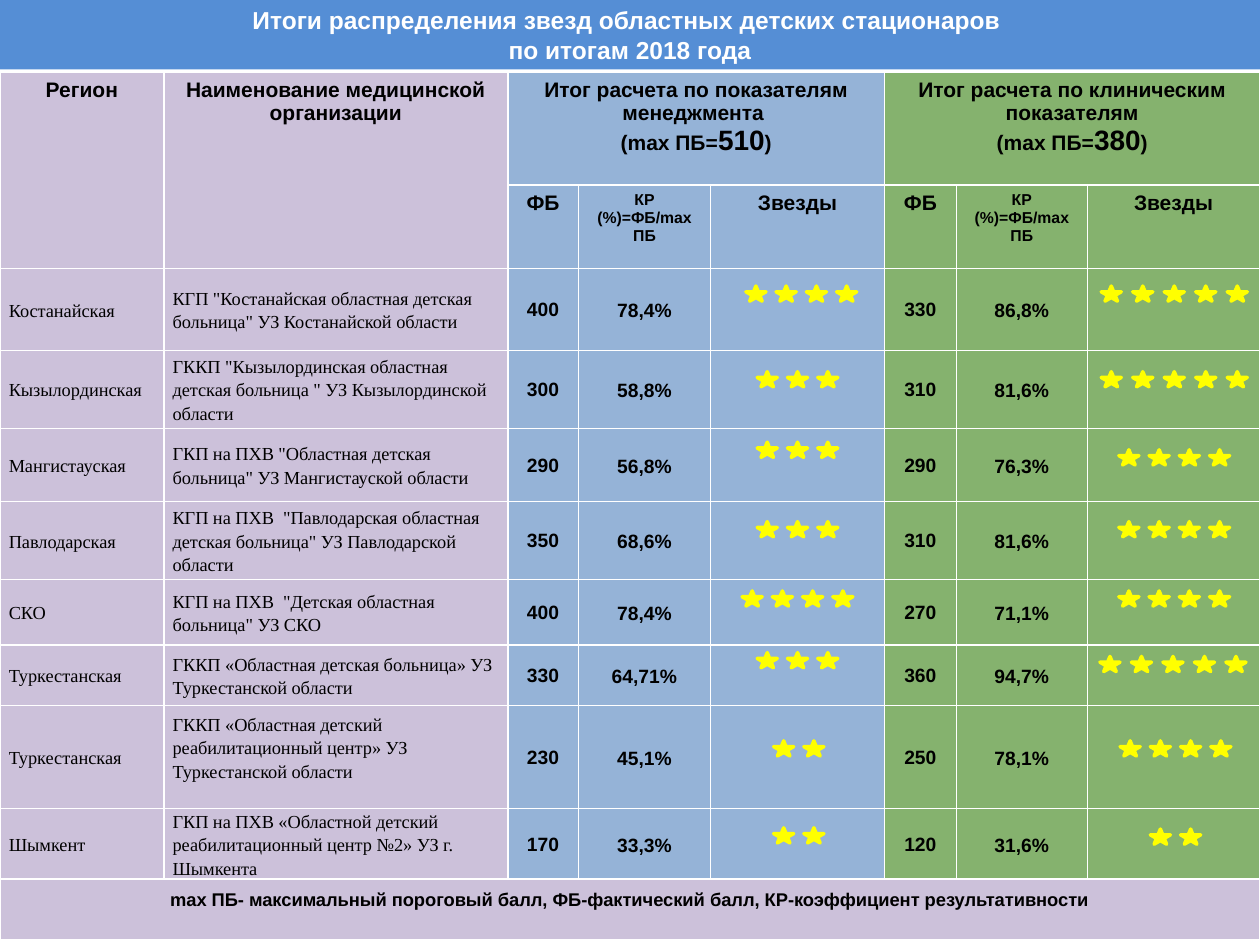
from itertools import product
from lxml.etree import SubElement
from pptx import Presentation
from pptx.dml.color import RGBColor
from pptx.enum.shapes import MSO_SHAPE
from pptx.enum.text import MSO_ANCHOR as ANCHOR, PP_ALIGN as ALIGN
from pptx.oxml.ns import qn
from pptx.util import Inches, Pt

TITLE = "Итоги распределения звезд областных детских стационаров \vпо итогам 2018 года"
FOOTER = "mах ПБ- максимальный пороговый балл, ФБ-фактический балл, КР-коэффициент результативности"
LABELS = ["Регион", "Наименование медицинской организации"]
SECTIONS = [
    ("Итог расчета по показателям менеджмента ", "510"),
    ("Итог расчета по клиническим показателям", "380"),
]
SUBHEADS = [("ФБ", 12), ("КР (%)=ФБ/max ПБ", 9), ("Звезды", 12)]
ROWS = [
    ("Костанайская", 'КГП "Костанайская областная детская больница" УЗ Костанайской области',
     ("400", "78,4%"), ("330", "86,8%")),
    ("Кызылординская", 'ГККП "Кызылординская областная детская больница " УЗ Кызылординской области',
     ("300", "58,8%"), ("310", "81,6%")),
    ("Мангистауская", 'ГКП на ПХВ "Областная детская больница" УЗ Мангистауской области',
     ("290", "56,8%"), ("290", "76,3%")),
    ("Павлодарская", 'КГП на ПХВ  "Павлодарская областная детская больница" УЗ Павлодарской области',
     ("350", "68,6%"), ("310", "81,6%")),
    ("СКО", 'КГП на ПХВ  "Детская областная больница" УЗ СКО',
     ("400", "78,4%"), ("270", "71,1%")),
    ("Туркестанская", "ГККП «Областная детская больница» УЗ Туркестанской области",
     ("330", "64,71%"), ("360", "94,7%")),
    ("Туркестанская", "ГККП «Областная детский реабилитационный центр» УЗ Туркестанской области",
     ("230", "45,1%"), ("250", "78,1%")),
    ("Шымкент", "ГКП на ПХВ «Областной детский реабилитационный центр №2» УЗ г. Шымкента",
     ("170", "33,3%"), ("120", "31,6%")),
]
STARS = [
    (4, 5.92, 2.27), (5, 8.74, 2.27),
    (3, 6.01, 2.95), (5, 8.74, 2.95),
    (3, 6.01, 3.51), (4, 8.88, 3.57),
    (3, 6.01, 4.14), (4, 8.88, 4.14),
    (4, 5.89, 4.69), (4, 8.88, 4.69),
    (3, 6.01, 5.18), (5, 8.73, 5.21),
    (2, 6.14, 5.88), (4, 8.89, 5.88),
    (2, 6.14, 6.57), (2, 9.13, 6.58),
]
COLS = [1.3, 2.73, 0.56, 1.05, 1.38, 0.57, 1.04, 1.37]
HEIGHTS = [0.9, 0.66, 0.65, 0.62, 0.58, 0.62, 0.52, 0.48, 0.82, 0.55, 0.48]
LILAC, BLUE, GREEN = "CCC1DA", "95B3D7", "85B26E"
COL_FILLS = [LILAC] * 2 + [BLUE] * 3 + [GREEN] * 3
STAR_W, STAR_H = 0.16, 0.12

HEAD = {"size": 12, "name": "Arial", "bold": True}
NAME = {"size": 10.5, "name": "Times New Roman", "bold": False}
VALUE = {"size": 11, "name": "Arial", "bold": True}
NOTE = {"size": 10.5, "name": "Arial", "bold": True}
WIDE = (0.07, 0, 0.07, 0)
TIGHT = (0.01, 0.01, 0.01, 0)


def rgb(value):
    return RGBColor.from_string(value)


def paint(fill, color):
    fill.solid()
    fill.fore_color.rgb = rgb(color)


def add_run(p, text, font, color="000000"):
    p.text = p.text
    r = p.add_run()
    r.text = text
    for key, value in font.items():
        setattr(r.font, key, Pt(value) if key == "size" else value)
    r.font.color.rgb = rgb(color)


def put(cell, text, font, align=ALIGN.CENTER, spacing=None, margins=None):
    p = cell.text_frame.paragraphs[0]
    p.alignment = align
    if spacing:
        p.line_spacing = spacing
    r = p.add_run()
    r.text = text
    style(r, font)
    if margins:
        cell.vertical_anchor = ANCHOR.MIDDLE
        for side, value in zip(("left", "top", "right", "bottom"), margins):
            setattr(cell, f"margin_{side}", Inches(value))


def style(r, font, color="000000"):
    for key, value in font.items():
        setattr(r.font, key, Pt(value) if key == "size" else value)
    r.font.color.rgb = rgb(color)


def format_cell(cell, color):
    tcPr = cell._tc.get_or_add_tcPr()
    for tag in ("a:lnL", "a:lnR", "a:lnT", "a:lnB"):
        ln = SubElement(tcPr, qn(tag), w=str(Pt(1)))
        SubElement(SubElement(ln, qn("a:solidFill")), qn("a:srgbClr"), val="FFFFFF")
    paint(cell.fill, color)


def add_title(s):
    sp = s.shapes.title
    sp.left, sp.top, sp.width, sp.height = map(Inches, (0, 0, 10, 0.55))
    paint(sp.fill, "558ED5")
    tf = sp.text_frame
    tf.text = TITLE
    tf.vertical_anchor = ANCHOR.MIDDLE
    p = tf.paragraphs[0]
    p.alignment = ALIGN.CENTER
    for r in p.runs:
        style(r, {"size": 14, "name": "Arial", "bold": True}, "FFFFFF")


def add_results(s):
    frame = s.shapes.add_table(len(HEIGHTS), len(COLS), 0, Inches(0.57),
                               Inches(sum(COLS)), Inches(sum(HEIGHTS)))
    table = frame.table
    table.first_row = table.horz_banding = False
    for col, width in zip(table.columns, COLS):
        col.width = Inches(width)
    for row, height in zip(table.rows, HEIGHTS):
        row.height = Inches(height)
    last = len(HEIGHTS) - 1
    for i, j in product(range(len(HEIGHTS)), range(len(COLS))):
        format_cell(table.cell(i, j), LILAC if i == last else COL_FILLS[j])

    for j, label in enumerate(LABELS):
        table.cell(0, j).merge(table.cell(1, j))
        put(table.cell(0, j), label, HEAD)
    for k, (heading, limit) in enumerate(SECTIONS):
        start = 2 + 3 * k
        cell = table.cell(0, start)
        cell.merge(table.cell(0, start + 2))
        put(cell, heading, HEAD)
        p = cell.text_frame.add_paragraph()
        p.alignment = ALIGN.CENTER
        for text, size in (("(mах ПБ=", 12), (limit, 16), (")", 12)):
            r = p.add_run()
            r.text = text
            style(r, {**HEAD, "size": size})
        for j, (text, size) in enumerate(SUBHEADS, start):
            put(table.cell(1, j), text, {**HEAD, "size": size})

    for i, (region, clinic, *scores) in enumerate(ROWS, 2):
        put(table.cell(i, 0), region, NAME, ALIGN.LEFT, 1.15, WIDE)
        put(table.cell(i, 1), clinic, NAME, ALIGN.LEFT, 1.15, WIDE)
        for j, (points, ratio) in zip((2, 5), scores):
            put(table.cell(i, j), points, VALUE, margins=TIGHT)
            put(table.cell(i, j + 1), ratio, VALUE, spacing=1.15, margins=WIDE)
    table.cell(8, 1).margin_bottom = Inches(0.16)

    footer = table.cell(last, 0)
    footer.merge(table.cell(last, len(COLS) - 1))
    put(footer, FOOTER, NOTE, margins=(0.01, 0.01, 0.01, 0.15))


def add_stars(s, count, left, top):
    group = s.shapes.add_group_shape()
    step = 0.25 if count == 5 else 0.24
    for n in range(count):
        sp = group.shapes.add_shape(MSO_SHAPE.STAR_5_POINT, Inches(left + n * step),
                                    Inches(top), Inches(STAR_W), Inches(STAR_H))
        sp.shadow.inherit = False
        paint(sp.fill, "FFFF00")
        sp.line.color.rgb = rgb("FFFF00")
        sp.line.width = Pt(2)


def main():
    prs = Presentation()
    prs.slide_width, prs.slide_height = Inches(10), Inches(7.5)
    s = prs.slides.add_slide(prs.slide_layouts[5])
    add_title(s)
    add_results(s)
    for stars in STARS:
        add_stars(s, *stars)
    prs.save("out.pptx")


if __name__ == "__main__":
    main()
